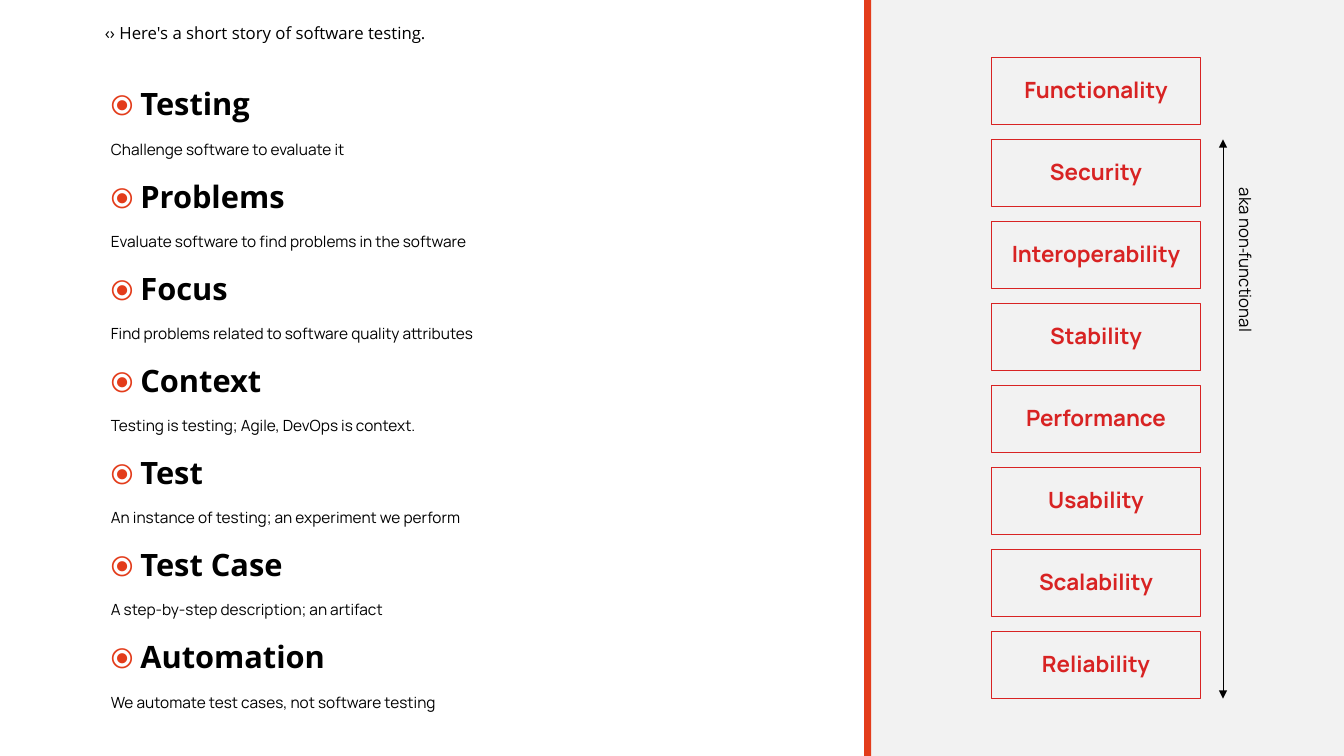
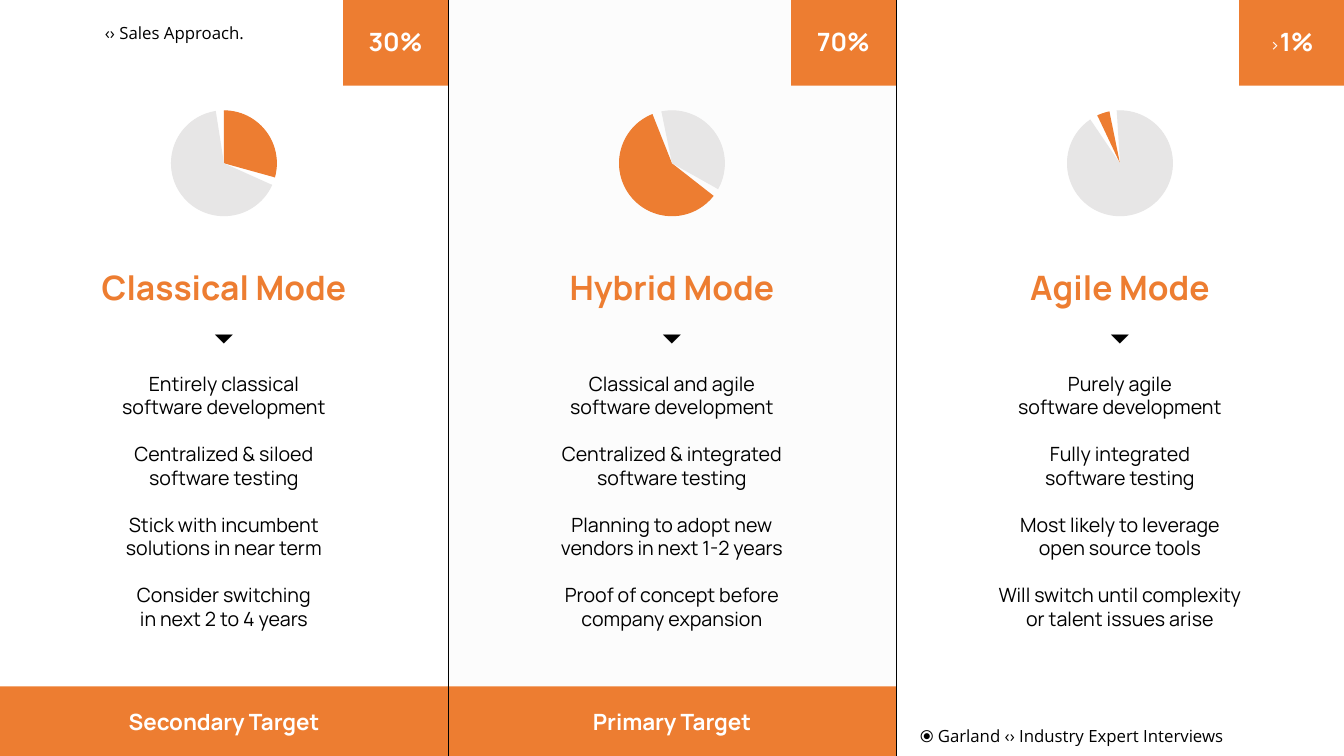
from typing import NamedTuple

from lxml.etree import SubElement
from pptx import Presentation
from pptx.dml.color import RGBColor
from pptx.enum.shapes import MSO_CONNECTOR, MSO_SHAPE
from pptx.enum.text import MSO_ANCHOR, MSO_AUTO_SIZE, PP_ALIGN
from pptx.oxml.ns import qn
from pptx.shapes.autoshape import Shape
from pptx.shapes.connector import Connector
from pptx.slide import Slide
from pptx.util import Inches, Pt

BLACK = RGBColor(0x00, 0x00, 0x00)
WHITE = RGBColor(0xFF, 0xFF, 0xFF)
PALE = RGBColor(0xF2, 0xF2, 0xF2)
GREY = RGBColor(0xE7, 0xE6, 0xE6)
RED = RGBColor(0xD8, 0x23, 0x23)
VERMILION = RGBColor(0xE3, 0x3C, 0x1B)
ORANGE = RGBColor(0xED, 0x7D, 0x31)

TEXT_FONT = "Manrope"
TITLE_FONT = "Open Sans"
SYMBOL_FONT = "Roboto"

SLIDE_WIDTH, SLIDE_HEIGHT = 13.33, 7.5
COLUMN_WIDTH = SLIDE_WIDTH / 3


class Box(NamedTuple):
    """Left, top, width and height in inches."""
    left: float
    top: float
    width: float
    height: float

    def lengths(self) -> list[int]:
        return [Inches(value) for value in self]


class Piece(NamedTuple):
    text: str
    size: float
    font: str = TEXT_FONT
    color: RGBColor = BLACK
    bold: bool = False


class Term(NamedTuple):
    name: str
    meaning: str


class Slice(NamedTuple):
    """Start and end angle in degrees, clockwise from three o'clock."""
    start: float
    end: float


class Mode(NamedTuple):
    name: str
    share: list[Piece]
    share_slice: Slice
    rest_slice: Slice
    points: list[tuple[str, str]]
    target: str = ""


TERMS = [
    Term("Testing", "Challenge software to evaluate it"),
    Term("Problems", "Evaluate software to find problems in the software"),
    Term("Focus", "Find problems related to software quality attributes"),
    Term("Context", "Testing is testing; Agile, DevOps is context."),
    Term("Test", "An instance of testing; an experiment we perform"),
    Term("Test Case", "A step-by-step description; an artifact"),
    Term("Automation", "We automate test cases, not software testing"),
]

ATTRIBUTES = ["Functionality", "Security", "Interoperability", "Stability",
              "Performance", "Usability", "Scalability", "Reliability"]


def badge_piece(text: str) -> Piece:
    return Piece(text, 18, color=WHITE, bold=True)


MODES = [
    Mode("Classical Mode", [badge_piece("30%")], Slice(270, 15.5), Slice(24.2, 261.1),
         [("Entirely classical", "software development"),
          ("Centralized & siloed", "software testing"),
          ("Stick with incumbent", "solutions in near term"),
          ("Consider switching", "in next 2 to 4 years")],
         "Secondary Target"),
    Mode("Hybrid Mode", [badge_piece("70%")], Slice(38.05, 248.4), Slice(258.5, 29.3),
         [("Classical and agile", "software development"),
          ("Centralized & integrated", "software testing"),
          ("Planning to adopt new", "vendors in next 1-2 years"),
          ("Proof of concept before", "company expansion")],
         "Primary Target"),
    Mode("Agile Mode", [Piece(">", 12, color=WHITE), badge_piece("1%")],
         Slice(244.7, 258.5), Slice(266.5, 235.9),
         [("Purely agile", "software development"),
          ("Fully integrated", "software testing"),
          ("Most likely to leverage", "open source tools"),
          ("Will switch until complexity", "or talent issues arise")]),
]


def write(paragraph, pieces: list[Piece], align=None, spacing=None) -> None:
    for piece in pieces:
        run = paragraph.add_run()
        run.text = piece.text
        run.font.name = piece.font
        run.font.size = Pt(piece.size)
        run.font.color.rgb = piece.color
        run.font.bold = piece.bold
    paragraph.alignment = align
    paragraph.line_spacing = spacing


def set_insets(shape: Shape, left: float, right: float) -> None:
    shape.text_frame.margin_left = Inches(left)
    shape.text_frame.margin_right = Inches(right)
    shape.text_frame.margin_top = shape.text_frame.margin_bottom = Inches(0.05)


def place(shape: Shape, box: Box) -> None:
    shape.left, shape.top, shape.width, shape.height = box.lengths()


def add_titled_slide(presentation, layout_name: str, title: str, width: float) -> Slide:
    layout = presentation.slide_layouts.get_by_name(layout_name)
    slide = presentation.slides.add_slide(layout)
    shape = slide.shapes.title
    place(shape, Box(1, 0.13, width, 0.4))
    set_insets(shape, 0.04, 0)
    shape.text_frame.auto_size = MSO_AUTO_SIZE.NONE
    shape.text_frame.vertical_anchor = MSO_ANCHOR.MIDDLE
    write(shape.text_frame.paragraphs[0], [Piece(f"‹› {title}", 12, TITLE_FONT)],
          PP_ALIGN.LEFT)
    return slide


def add_preset(slide: Slide, box: Box, fill: RGBColor | None = None,
               line: RGBColor | None = None, preset=MSO_SHAPE.RECTANGLE) -> Shape:
    shape = slide.shapes.add_shape(preset, *box.lengths())
    shape.shadow.inherit = False
    if fill is None:
        shape.fill.background()
    else:
        shape.fill.solid()
        shape.fill.fore_color.rgb = fill
    if line is None:
        shape.line.fill.background()
    else:
        shape.line.color.rgb = line
        shape.line.width = Pt(0.75)
    return shape


def add_label(shape: Shape, pieces: list[Piece], spacing) -> None:
    shape.text_frame.vertical_anchor = MSO_ANCHOR.MIDDLE
    write(shape.text_frame.paragraphs[0], pieces, PP_ALIGN.CENTER, spacing)


def add_text_box(slide: Slide, box: Box) -> Shape:
    shape = slide.shapes.add_textbox(*box.lengths())
    shape.text_frame.word_wrap = True
    return shape


def add_vertical_line(slide: Slide, x: float, top: float, bottom: float) -> Connector:
    line = slide.shapes.add_connector(
        MSO_CONNECTOR.STRAIGHT, Inches(x), Inches(top), Inches(x), Inches(bottom))
    line.line.color.rgb = BLACK
    line.line.width = Pt(0.5)
    SubElement(line.element.spPr, qn("a:effectLst"))
    return line


def add_arrowheads(connector: Connector) -> None:
    outline = connector.line._get_or_add_ln()
    for end in ("a:headEnd", "a:tailEnd"):
        SubElement(outline, qn(end), type="triangle")


def fill_terms(shape: Shape) -> None:
    place(shape, Box(1, 0.8, 4.96, 6.4))
    text_frame = shape.text_frame
    text_frame.auto_size = MSO_AUTO_SIZE.NONE
    for index, term in enumerate(TERMS):
        paragraph = text_frame.add_paragraph() if index else text_frame.paragraphs[0]
        write(paragraph, [Piece("⦿ ", 20, SYMBOL_FONT, VERMILION),
                          Piece(term.name, 22, TITLE_FONT, bold=True)])
        paragraph.add_line_break()
        write(paragraph, [Piece(term.meaning, 11)], PP_ALIGN.LEFT, Pt(26))
        paragraph.space_before = Pt(0)
        paragraph.space_after = Pt(13.8)
        properties = paragraph._p.get_or_add_pPr()
        properties.set("marL", "0")
        properties.set("indent", "0")
        SubElement(properties, qn("a:buNone"))


def build_testing_slide(presentation) -> None:
    slide = add_titled_slide(presentation, "Title and Content",
                             "Here's a short story of software testing.", 11.18)
    fill_terms(slide.placeholders[1])
    add_preset(slide, Box(8.64, 0, 4.69, SLIDE_HEIGHT), PALE)
    add_preset(slide, Box(8.57, 0, 0.07, SLIDE_HEIGHT), VERMILION)

    top, pitch, height = 0.57, 0.813, 0.67
    for index, attribute in enumerate(ATTRIBUTES):
        box = add_preset(slide, Box(9.83, top + index * pitch, 2.08, height), line=RED)
        add_label(box, [Piece(attribute, 16, color=RED, bold=True)], 0.9)

    bottom = top + (len(ATTRIBUTES) - 1) * pitch + height
    add_arrowheads(add_vertical_line(slide, 12.13, top + pitch, bottom))
    side_note = add_text_box(slide, Box(10.85, 3.12, 3.01, 0.3))
    side_note.rotation = 90
    write(side_note.text_frame.paragraphs[0],
          [Piece("aka non", 12), Piece("-", 11, TITLE_FONT), Piece("functional", 12)])


def add_slice(slide: Slide, left: float, angles: Slice, color: RGBColor) -> None:
    arc = add_preset(slide, Box(left, 1.1, 1.04, 1.04), color, color, MSO_SHAPE.ARC)
    for index, degrees in enumerate(angles):
        arc.adjustments[index] = degrees * 0.6  # 60000 units a degree, scaled by 100000


def add_points(slide: Slide, left: float, points: list[tuple[str, str]]) -> None:
    text_frame = add_text_box(slide, Box(left, 3.52, COLUMN_WIDTH, 3.05)).text_frame
    for index, (first, second) in enumerate(points):
        paragraph = text_frame.add_paragraph() if index else text_frame.paragraphs[0]
        write(paragraph, [Piece(first, 14)], PP_ALIGN.CENTER, Pt(16.8) if index else 1.5)
        paragraph.space_before = Pt(16.8 if index else 0)
        write(text_frame.add_paragraph(), [Piece(second, 14)], PP_ALIGN.CENTER, Pt(16.8))


def add_mode(slide: Slide, left: float, mode: Mode) -> None:
    heading = add_text_box(slide, Box(left, 2.4, COLUMN_WIDTH, 1.1)).text_frame
    write(heading.paragraphs[0], [Piece(mode.name, 24, color=ORANGE, bold=True)],
          PP_ALIGN.CENTER, 1.5)
    write(heading.add_paragraph(), [Piece("⏷", 18, SYMBOL_FONT)], PP_ALIGN.CENTER, 1.5)

    pie_left = left + (COLUMN_WIDTH - 1.04) / 2
    add_slice(slide, pie_left, mode.share_slice, ORANGE)
    add_slice(slide, pie_left, mode.rest_slice, GREY)
    add_points(slide, left, mode.points)

    badge = add_preset(slide, Box(left + COLUMN_WIDTH - 1.04, 0, 1.04, 0.85), ORANGE)
    add_label(badge, mode.share, Pt(20))
    if mode.target:
        band = add_preset(slide, Box(left, 6.81, COLUMN_WIDTH, 0.69), ORANGE)
        add_label(band, [Piece(mode.target, 16, color=WHITE, bold=True)], Pt(20))


def build_sales_slide(presentation) -> None:
    slide = add_titled_slide(presentation, "Title Only", "Sales Approach.", 3.45)
    panel = add_preset(slide, Box(COLUMN_WIDTH, 0, COLUMN_WIDTH, SLIDE_HEIGHT), PALE)
    color = panel.element.spPr.find(qn("a:solidFill")).find(qn("a:srgbClr"))
    SubElement(color, qn("a:alpha"), val="20000")

    for index, mode in enumerate(MODES):
        add_mode(slide, index * COLUMN_WIDTH, mode)
    for index in (1, 2):
        add_vertical_line(slide, index * COLUMN_WIDTH, 0, SLIDE_HEIGHT)

    source = add_text_box(slide, Box(2 * COLUMN_WIDTH, 7.1, COLUMN_WIDTH, 0.4))
    set_insets(source, 0.24, 0.2)
    source.text_frame.vertical_anchor = MSO_ANCHOR.MIDDLE
    write(source.text_frame.paragraphs[0],
          [Piece("⦿ ", 12, SYMBOL_FONT),
           Piece("Garland ‹› Industry Expert Interviews", 12, TITLE_FONT)])


def main() -> None:
    presentation = Presentation()
    presentation.slide_width = Inches(SLIDE_WIDTH)
    presentation.slide_height = Inches(SLIDE_HEIGHT)
    build_testing_slide(presentation)
    build_sales_slide(presentation)
    presentation.save("out.pptx")


if __name__ == "__main__":
    main()
